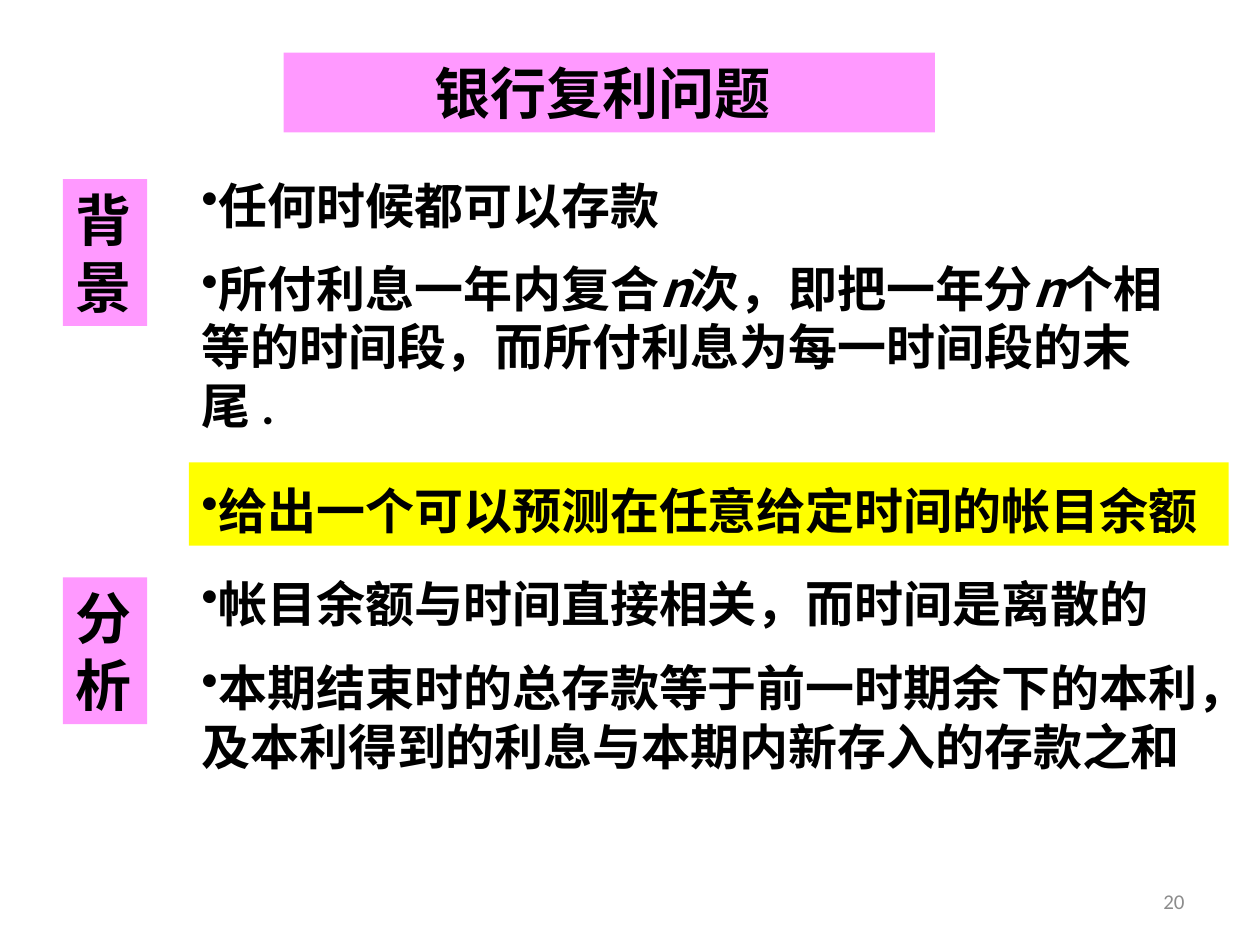
from lxml import etree
from pptx import Presentation
from pptx.dml.color import RGBColor
from pptx.enum.shapes import MSO_SHAPE
from pptx.enum.text import MSO_ANCHOR, MSO_AUTO_SIZE, PP_ALIGN
from pptx.oxml.ns import qn
from pptx.util import Cm, Pt

RECTANGLE = MSO_SHAPE.RECTANGLE
TOP, MIDDLE = MSO_ANCHOR.TOP, MSO_ANCHOR.MIDDLE
GROW, FIXED = MSO_AUTO_SIZE.SHAPE_TO_FIT_TEXT, MSO_AUTO_SIZE.NONE
LEFT, CENTER, RIGHT = PP_ALIGN.LEFT, PP_ALIGN.CENTER, PP_ALIGN.RIGHT

CJK, LATIN = "Noto Sans CJK SC", "Calibri"
PINK, YELLOW, BLACK, GREY = "FF99FF", "FFFF00", "000000", "8C8C8C"

# Content; lengths in cm
TITLE = "银行复利问题 "
SECTIONS = [("背景", 3.61), ("分析", 11.64)]  # label, top
# Points: runs, top, width, height, line spacing, fill
POINTS = [
    (["任何时候都可以存款"], 3.18, 20.96, 1.68, 1.2, None),
    (["所付利息一年内复合", "n", "次，即把一年分", "n",
      "个相等的时间段，而所付利息为每一时间段的末尾 ", "."],
     5.08, 20.12, 3.84, None, None),
    (["给出一个可以预测在任意给定时间的帐目余额"], 9.32, 20.96, 1.68, 1.2, YELLOW),
    (["帐目余额与时间直接相关，而时间是离散的"], 11.43, 20.32, 1.45, None, None),
    (["本期结束时的总存款等于前一时期余下的本利，及本利得到的利息与本期内新存入的存款之和"],
     13.13, 20.75, 3.81, None, None),
]
PAGE_NUMBER = "20"
LABEL_LEFT, POINT_LEFT = 1.27, 3.81


def rgb(value):
    return RGBColor.from_string(value)


def add_text(slide, box, runs, size, typeface=CJK, fill=None, align=LEFT,
             color=BLACK, bold=True, bullet=False, spacing=None,
             anchor=TOP, fit=GROW):
    place = [Cm(length) for length in box]
    if fill:
        holder = slide.shapes.add_shape(RECTANGLE, *place)
        holder.shadow.inherit = False
        holder.fill.solid()
        holder.fill.fore_color.rgb = rgb(fill)
        holder.line.fill.background()
    else:
        holder = slide.shapes.add_textbox(*place)
    frame = holder.text_frame
    frame.word_wrap = True
    frame.auto_size = fit
    frame.vertical_anchor = anchor

    paragraph = frame.paragraphs[0]
    paragraph.alignment = align
    if spacing:
        paragraph.line_spacing = spacing
    if bullet:
        mark = etree.SubElement(paragraph._p.get_or_add_pPr(), qn("a:buChar"))
        mark.set("char", "•")
    font = paragraph.font
    font.name, font.size, font.bold = typeface, Pt(size), bold
    font.color.rgb = rgb(color)
    for words in runs:
        run = paragraph.add_run()
        run.text = words
        if words == "n":
            run.font.italic = True
        elif words == ".":
            run.font.name = LATIN


def main():
    deck = Presentation()
    deck.slide_width, deck.slide_height = Cm(25.4), Cm(19.05)
    slide = deck.slides.add_slide(deck.slide_layouts[6])

    # Title band
    add_text(slide, (5.72, 1.06, 13.13, 1.61), [TITLE], 32, fill=PINK, align=CENTER)

    # Section labels, one character per line
    for label, top in SECTIONS:
        add_text(slide, (LABEL_LEFT, top, 1.7, 2.96), [label], 32, LATIN, PINK)

    # Bulleted points
    for runs, top, width, height, spacing, fill in POINTS:
        add_text(slide, (POINT_LEFT, top, width, height), runs, 28,
                 fill=fill, bullet=True, spacing=spacing)

    # Page number
    add_text(slide, (18.2, 17.66, 5.93, 1.01), [PAGE_NUMBER], 12, LATIN,
             align=RIGHT, color=GREY, bold=False, anchor=MIDDLE, fit=FIXED)

    deck.save("out.pptx")


if __name__ == "__main__":
    main()
